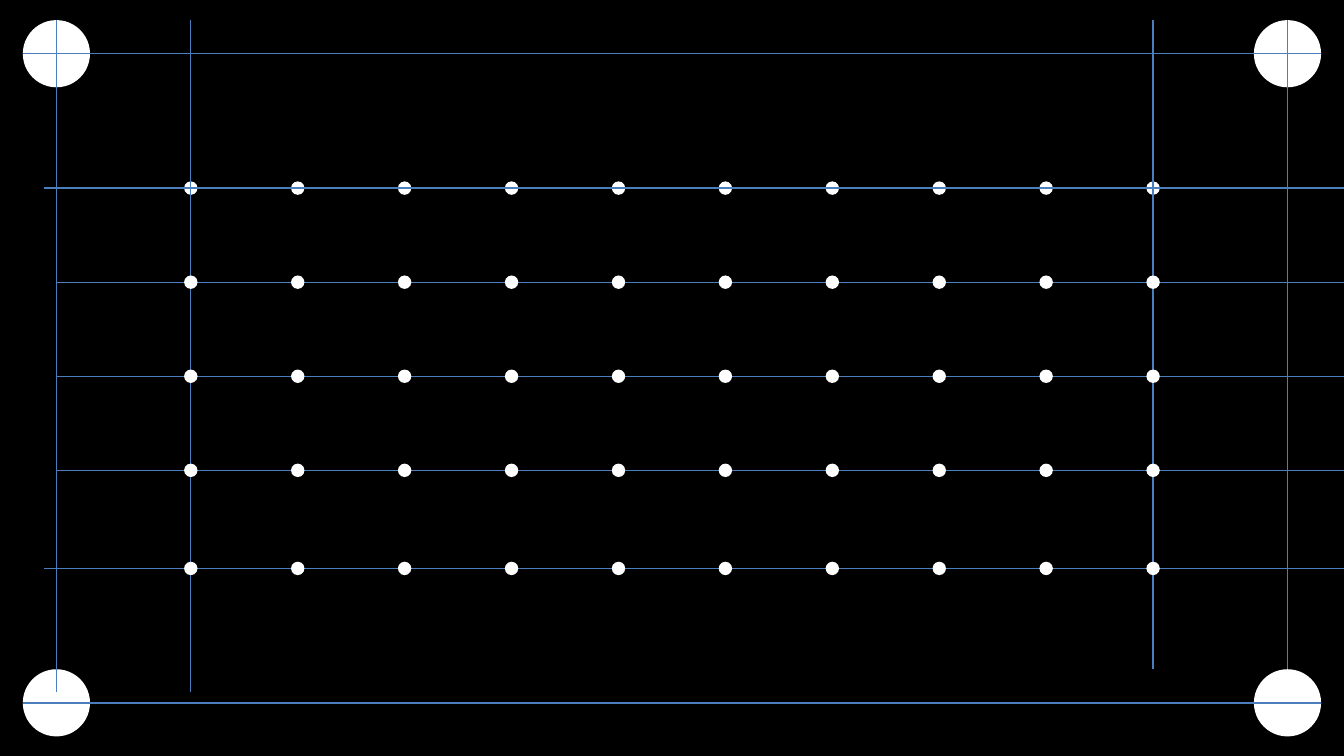
from itertools import product

from lxml import etree
from pptx import Presentation
from pptx.dml.color import RGBColor
from pptx.enum.shapes import MSO_CONNECTOR, MSO_SHAPE
from pptx.oxml.ns import qn
from pptx.util import Inches, Pt

OVAL = MSO_SHAPE.OVAL
STRAIGHT = MSO_CONNECTOR.STRAIGHT
BLACK, WHITE, BLUE = "000000", "FFFFFF", "4B7EBC"

LEFT, RIGHT = 0.42, 9.58
TOP, BOTTOM = 0.4, 5.23
GRID_LEFT, GRID_RIGHT = 1.42, 8.58
FIRST_ROW, LAST_ROW = 1.4, 4.23
MIDDLE_ROWS = [2.1, 2.8, 3.5]
COLUMNS = 10
COLUMN_GAP = (GRID_RIGHT - GRID_LEFT) / (COLUMNS - 1)


def add_dot(shapes, x, y, diameter):
    dot = shapes.add_shape(
        OVAL, Inches(x - diameter / 2), Inches(y - diameter / 2),
        Inches(diameter), Inches(diameter))
    dot.shadow.inherit = False
    dot.fill.solid()
    dot.fill.fore_color.rgb = RGBColor.from_string(WHITE)
    dot.line.fill.background()


def add_dot_row(y):
    row = slide.shapes.add_group_shape()
    for column in range(COLUMNS):
        add_dot(row.shapes, GRID_LEFT + column * COLUMN_GAP, y, 0.1)


prs = Presentation()
prs.slide_width = Inches(10)
prs.slide_height = Inches(10 * 9 / 16)
slide = prs.slides.add_slide(prs.slide_layouts[6])
slide.background.fill.solid()
slide.background.fill.fore_color.rgb = RGBColor.from_string(BLACK)

for y, x in product([TOP, BOTTOM], [LEFT, RIGHT]):
    add_dot(slide.shapes, x, y, 0.5)

add_dot_row(FIRST_ROW)

verticals = [(x, 0.15, x, end)
             for x, end in [(LEFT, 5.15), (GRID_LEFT, 5.15),
                            (RIGHT, 4.98), (GRID_RIGHT, 4.98)]]
horizontals = [(start, y, end, y)
               for y, start, end in [(TOP, 0.17, 9.83), (FIRST_ROW, 0.33, 10),
                                     (BOTTOM, 0.17, 9.83), (LAST_ROW, 0.33, 10)]]
horizontals += [(LEFT, y, 10.08, y) for y in MIDDLE_ROWS]

for ends in verticals + horizontals:
    guide = slide.shapes.add_connector(STRAIGHT, *[Inches(v) for v in ends])
    guide.line.color.rgb = RGBColor.from_string(BLUE)
    guide.line.width = Pt(0.75)
    etree.SubElement(guide._element.spPr, qn("a:effectLst"))

for y in [LAST_ROW] + MIDDLE_ROWS:
    add_dot_row(y)

prs.save("out.pptx")
